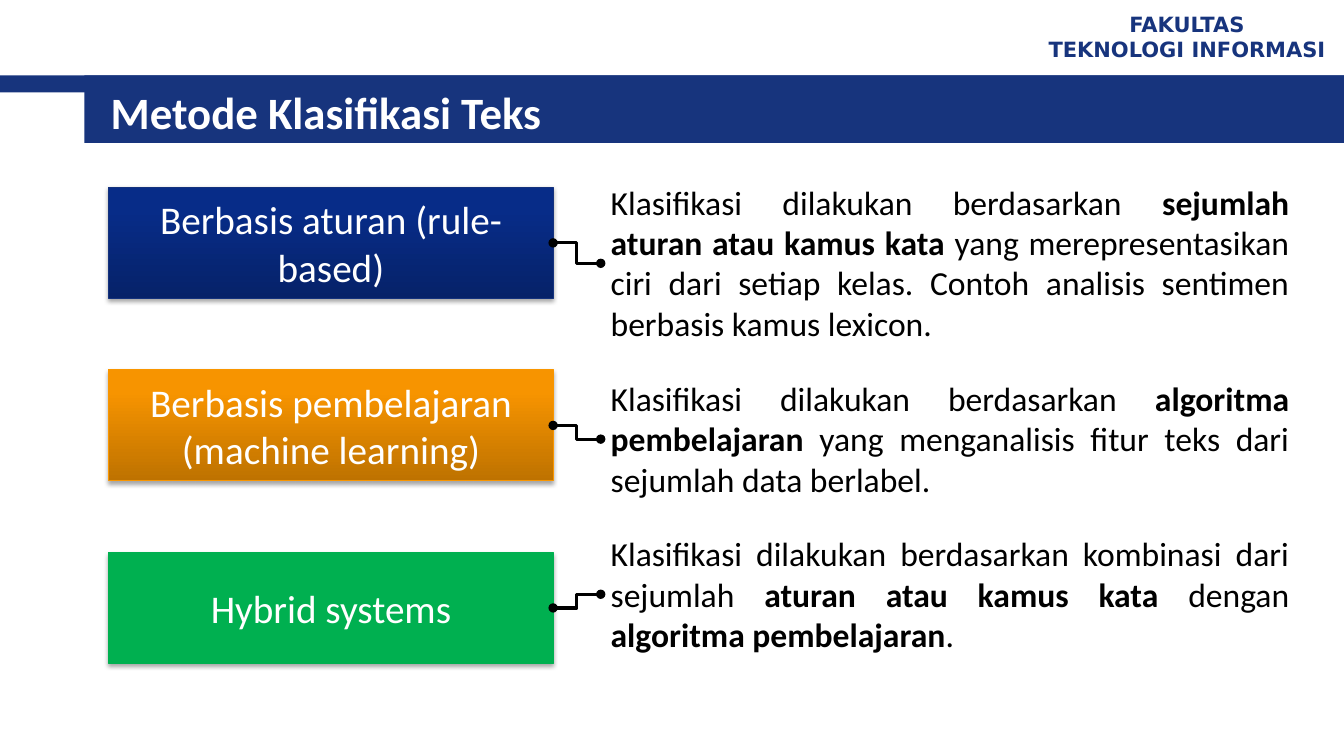
import copy

import lxml.etree
import pptx
import pptx.dml.color
import pptx.enum.shapes
import pptx.enum.text
import pptx.oxml.ns
import pptx.util

Cm = pptx.util.Cm
Pt = pptx.util.Pt
qn = pptx.oxml.ns.qn
ALIGN = pptx.enum.text.PP_ALIGN
SHAPE = pptx.enum.shapes.MSO_SHAPE
NAVY = "17347D"


def rgb(code):
    return pptx.dml.color.RGBColor.from_string(code)


def write(shape, text, size, color="FFFFFF", font="Calibri", bold=False,
          align=ALIGN.LEFT, anchor=pptx.enum.text.MSO_ANCHOR.MIDDLE):
    """Fill a shape with one paragraph per line; ** switches bold on and off."""
    frame = shape.text_frame
    frame.word_wrap = True
    frame.vertical_anchor = anchor
    for row, line in enumerate(text.split("\n")):
        para = frame.add_paragraph() if row else frame.paragraphs[0]
        para.alignment = align
        for part, words in enumerate(line.split("**")):
            run = para.add_run()
            run.text = words
            run.font.name = font
            run.font.size = Pt(size)
            run.font.bold = bold or part % 2 == 1
            run.font.color.rgb = rgb(color)


deck = pptx.Presentation()
deck.slide_width, deck.slide_height = Cm(33.87), Cm(19.05)
slide = deck.slides.add_slide(deck.slide_layouts[6])
shapes = slide.shapes

# Header
for left, width, height in [(0, 33.87, 0.43), (2.13, 31.74, 1.7)]:
    bar = shapes.add_shape(SHAPE.RECTANGLE, Cm(left), Cm(1.9), Cm(width), Cm(height))
    bar.shadow.inherit = False
    bar.fill.solid()
    bar.fill.fore_color.rgb = rgb(NAVY)
    bar.line.fill.background()

unit = shapes.add_textbox(Cm(25.98), Cm(0.13), Cm(7.87), Cm(1.57))
write(unit, "FAKULTAS\nTEKNOLOGI INFORMASI", 15, color=NAVY,
      font="DejaVu Sans", bold=True, align=ALIGN.CENTER)
title = shapes.add_textbox(Cm(2.54), Cm(2.03), Cm(30.2), Cm(1.57))
write(title, "Metode Klasifikasi Teks", 32, bold=True)

# Methods: name, gradient from bottom to top or one fill, edge, note top and height, note
methods = [
    ("Berbasis aturan (rule-based)", ["062269", "072C88", "052B8B"], "14327D", 4.45, 4.37,
     "Klasifikasi dilakukan berdasarkan **sejumlah aturan atau kamus kata** yang "
     "merepresentasikan ciri dari setiap kelas. Contoh analisis sentimen berbasis "
     "kamus lexicon."),
    ("Berbasis pembelajaran (machine learning)", ["BE7200", "F79400", "F89500"], "F99600",
     9.4, 3.33,
     "Klasifikasi dilakukan berdasarkan **algoritma pembelajaran** yang menganalisis "
     "fitur teks dari sejumlah data berlabel."),
    ("Hybrid systems", ["00B050"], "00B050", 13.31, 3.33,
     "Klasifikasi dilakukan berdasarkan kombinasi dari sejumlah **aturan atau kamus "
     "kata** dengan **algoritma pembelajaran**."),
]

for row, (name, tints, edge, top, height, about) in enumerate(methods):
    box = shapes.add_shape(SHAPE.RECTANGLE, Cm(2.74), Cm(4.72 + 4.6 * row), Cm(11.2), Cm(2.8))
    if len(tints) == 1:
        box.fill.solid()
        box.fill.fore_color.rgb = rgb(tints[0])
    else:
        box.fill.gradient()
        box.fill.gradient_angle = 90
        stops = box._element.spPr.find(".//" + qn("a:gsLst"))
        stops.append(copy.deepcopy(stops[-1]))
        for stop, tint, place in zip(box.fill.gradient_stops, tints, [0, 0.8, 1]):
            stop.color.rgb = rgb(tint)
            stop.position = place
    box.line.color.rgb = rgb(edge)
    box.line.width = Pt(0.75)
    box.shadow.inherit = False
    effects = box._element.spPr.find(qn("a:effectLst"))
    shade = lxml.etree.SubElement(
        effects, qn("a:outerShdw"), blurRad=str(Pt(3.1)), dist=str(Pt(1.8)),
        dir="5400000", rotWithShape="0")
    black = lxml.etree.SubElement(shade, qn("a:srgbClr"), val="000000")
    lxml.etree.SubElement(black, qn("a:alpha"), val="35000")
    write(box, name, 28, align=ALIGN.CENTER)

    note = shapes.add_textbox(Cm(15.14), Cm(top), Cm(17.6), Cm(height))
    write(note, about, 24, color="000000", align=ALIGN.JUSTIFY,
          anchor=pptx.enum.text.MSO_ANCHOR.TOP)
    note.text_frame.auto_size = pptx.enum.text.MSO_AUTO_SIZE.SHAPE_TO_FIT_TEXT

    link = shapes.add_connector(
        pptx.enum.shapes.MSO_CONNECTOR.ELBOW, box.left + box.width,
        box.top + box.height // 2, note.left, note.top + note.height // 2)
    link.begin_connect(box, 3)
    link.end_connect(note, 1)
    link.line.color.rgb = rgb("000000")
    link.line.width = Pt(2.25)
    for end in ("a:headEnd", "a:tailEnd"):
        lxml.etree.SubElement(link.line._get_or_add_ln(), qn(end), type="oval")
    lxml.etree.SubElement(link._element.spPr, qn("a:effectLst"))

deck.save("out.pptx")
